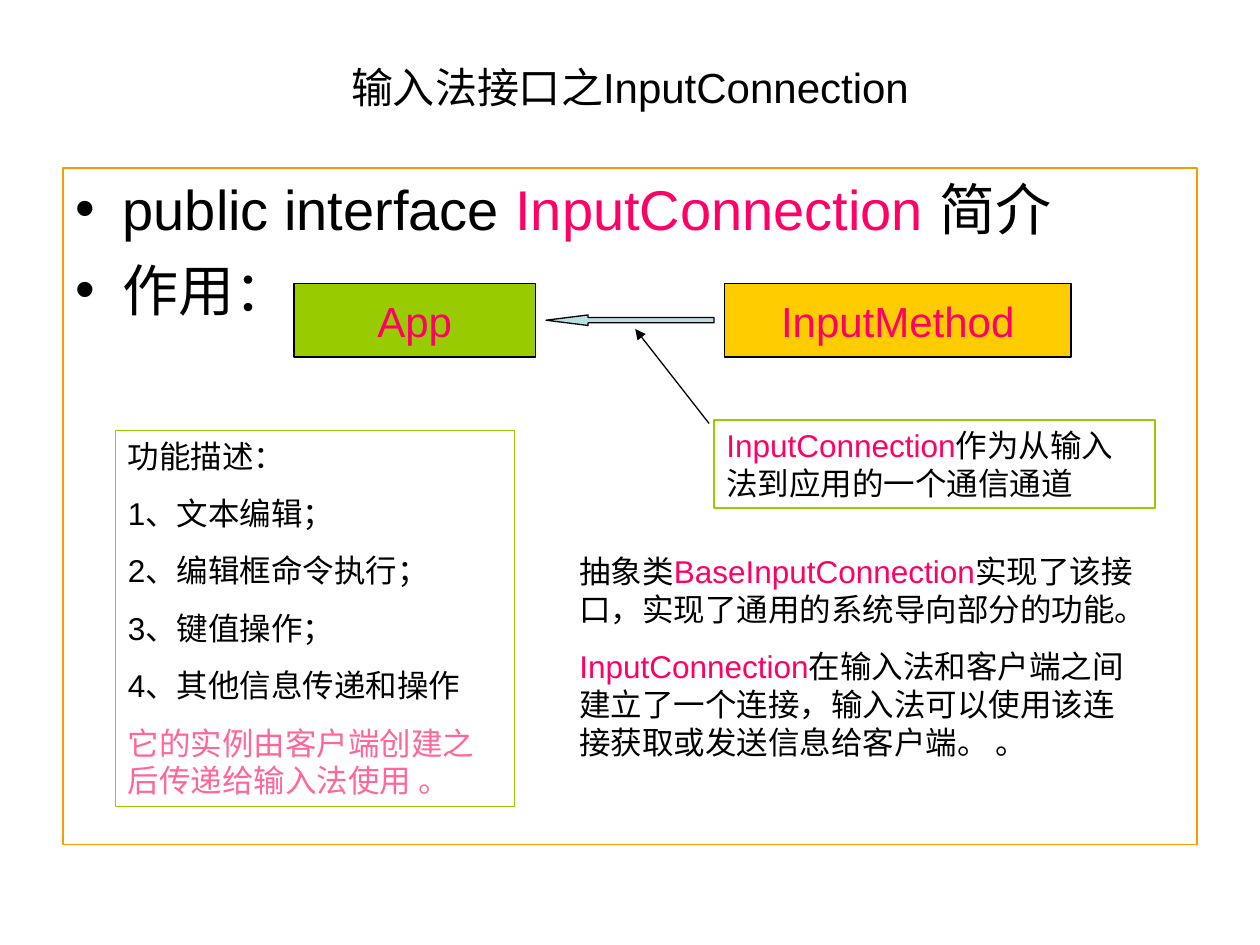
"""Build the InputConnection overview slide."""
from lxml import etree
from pptx import Presentation
from pptx.dml.color import RGBColor
from pptx.enum.shapes import MSO_CONNECTOR, MSO_SHAPE
from pptx.enum.text import MSO_ANCHOR, PP_ALIGN
from pptx.oxml.ns import qn
from pptx.util import Pt

RECT, ARROW = MSO_SHAPE.RECTANGLE, MSO_SHAPE.LEFT_ARROW
LEFT, CENTER = PP_ALIGN.LEFT, PP_ALIGN.CENTER
TOP, MIDDLE = MSO_ANCHOR.TOP, MSO_ANCHOR.MIDDLE
STRAIGHT = MSO_CONNECTOR.STRAIGHT

FONT = "Arial"
BLACK, PINK, ROSE = "000000", "FF0066", "FF6699"
GREEN, GOLD, ORANGE, PALE = "99CC00", "FFCC00", "FF9900", "BBE0E3"
EDGE = 0.75
INDENT = 27

TITLE = [[("输入法接口之InputConnection", BLACK)]]
BODY = [
    [("public interface ", BLACK), ("InputConnection ", PINK), ("简介", BLACK)],
    [("作用：", BLACK)],
]
NODES = [("App", 168, 138, GREEN), ("InputMethod", 414, 198, GOLD)]
ROLE = [[("InputConnection", PINK), ("作为从输入法到应用的一个通信通道", BLACK)]]
TASKS = [
    [("功能描述：", BLACK)],
    [("1、文本编辑；", BLACK)],
    [("2、编辑框命令执行；", BLACK)],
    [("3、键值操作；", BLACK)],
    [("4、其他信息传递和操作", BLACK)],
    [("它的实例由客户端创建之后传递给输入法使用 。", ROSE)],
]
ABOUT = [
    [("抽象类", BLACK), ("BaseInputConnection", PINK),
     ("实现了该接口，实现了通用的系统导向部分的功能。", BLACK)],
    [("InputConnection", PINK),
     ("在输入法和客户端之间建立了一个连接，输入法可以使用该连接获取或发送信息给客户端。 。", BLACK)],
]
NOTES = [
    (ROLE, (408, 240, 252, 50.4), GREEN),
    (TASKS, (66, 246, 228, 214.8), GREEN),
    (ABOUT, (324, 312, 336, 148.4), None),
]


def color(code):
    return RGBColor.from_string(code)


def add_box(slide, kind, place, fill=None, edge=None):
    box = slide.shapes.add_shape(kind, *map(Pt, place))
    box.shadow.inherit = False
    if fill:
        box.fill.solid()
        box.fill.fore_color.rgb = color(fill)
    else:
        box.fill.background()
    if edge:
        box.line.color.rgb = color(edge)
        box.line.width = Pt(EDGE)
    else:
        box.line.fill.background()
    return box


def add_bullet(para):
    props = para._p.get_or_add_pPr()
    props.set("marL", str(Pt(INDENT)))
    props.set("indent", str(-Pt(INDENT)))
    tint = etree.SubElement(props, qn("a:buClr"))
    etree.SubElement(tint, qn("a:srgbClr"), val=BLACK)
    etree.SubElement(props, qn("a:buFont"), typeface=FONT)
    etree.SubElement(props, qn("a:buChar"), char="•")


def write(shape, paras, size, align=LEFT, anchor=TOP, gap=0, bullet=False, wrap=True):
    frame = shape.text_frame
    frame.word_wrap = wrap
    frame.vertical_anchor = anchor
    for num, runs in enumerate(paras):
        para = frame.add_paragraph() if num else frame.paragraphs[0]
        para.alignment = align
        if bullet:
            add_bullet(para)
        if num:
            para.space_before = Pt(gap)
        for text, tint in runs:
            run = para.add_run()
            run.text = text
            run.font.name = FONT
            run.font.size = Pt(size)
            run.font.color.rgb = color(tint)


def add_line(slide, start, end):
    line = slide.shapes.add_connector(STRAIGHT, *map(Pt, start + end))
    line.line.color.rgb = color(BLACK)
    line.line.width = Pt(EDGE)
    etree.SubElement(line.line._get_or_add_ln(), qn("a:tailEnd"), type="triangle")
    etree.SubElement(line._element.spPr, qn("a:effectLst"))


def main():
    deck = Presentation()
    deck.slide_width, deck.slide_height = Pt(720), Pt(540)
    slide = deck.slides.add_slide(deck.slide_layouts[6])

    title = slide.shapes.add_textbox(*map(Pt, (36, 21.6, 648, 56.4)))
    write(title, TITLE, 24, CENTER, MIDDLE)
    body = add_box(slide, RECT, (36, 96, 648, 386.4), edge=ORANGE)
    write(body, BODY, 32, gap=8, bullet=True)

    for name, left, width, fill in NODES:
        node = add_box(slide, RECT, (left, 162, width, 42), fill, BLACK)
        write(node, [[(name, PINK)]], 24, CENTER, MIDDLE, wrap=False)

    arrow = add_box(slide, ARROW, (312, 180, 96, 6), PALE, BLACK)
    arrow.adjustments[0], arrow.adjustments[1] = 0.5, 4
    add_line(slide, (405.2, 242), (363, 188))

    for paras, place, edge in NOTES:
        write(add_box(slide, RECT, place, edge=edge), paras, 18, gap=11.2)

    deck.save("out.pptx")


if __name__ == "__main__":
    main()
